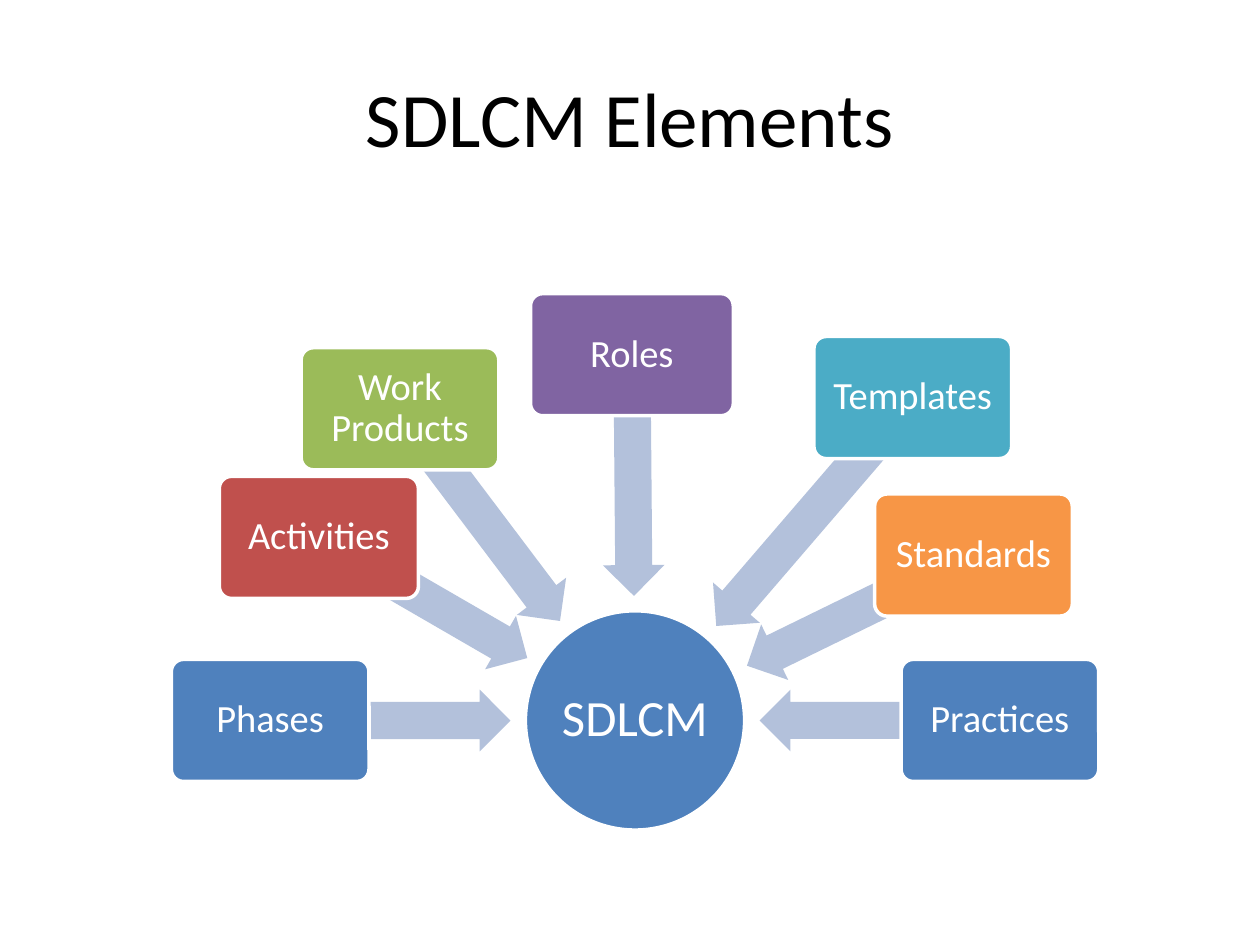
from math import atan2, degrees, hypot

from pptx import Presentation
from pptx.dml.color import RGBColor
from pptx.enum.shapes import MSO_SHAPE
from pptx.enum.text import MSO_ANCHOR, PP_ALIGN
from pptx.util import Pt

ELLIPSE = MSO_SHAPE.OVAL
ROUNDED = MSO_SHAPE.ROUNDED_RECTANGLE
LEFT_ARROW = MSO_SHAPE.LEFT_ARROW
MIDDLE = MSO_ANCHOR.MIDDLE
CENTER = PP_ALIGN.CENTER

TITLE = "SDLCM Elements"
HUB = "SDLCM"
HUB_X, HUB_Y, HUB_SIZE = 362.9, 411.7, 125.3
ELEMENTS = [
    ("Phases", 154.4, 411.7, 113, "4F81BD"),
    ("Activities", 182.2, 307.1, 113.8, "C0504D"),
    ("Work Products", 228.6, 233.6, 113, "9BBB59"),
    ("Roles", 361.1, 202.7, 115.9, "8064A2"),
    ("Templates", 521.6, 227.2, 113, "4BACC6"),
    ("Standards", 556.3, 317.2, 113, "F79646"),
    ("Practices", 571.4, 411.7, 113, "4F81BD"),
]
BOX_HEIGHT = 69.8
ARROW_HEIGHT = 35.3
TIP_DISTANCE = 71.2


def color(value):
    return RGBColor.from_string(value)


def write(shape, text, size, ink="FFFFFF", inset=3.6, spacing=0.9):
    frame = shape.text_frame
    frame.word_wrap = True
    frame.vertical_anchor = MIDDLE
    frame.margin_left = frame.margin_right = Pt(inset)
    frame.margin_top = frame.margin_bottom = Pt(inset)
    para = frame.paragraphs[0]
    para.alignment = CENTER
    para.line_spacing = spacing
    span = para.add_run()
    span.text = text
    span.font.name = "Calibri"
    span.font.size = Pt(size)
    span.font.color.rgb = color(ink)


def add_centered(page, kind, x, y, width, height, fill, outlined=True):
    shape = page.shapes.add_shape(
        kind, Pt(x - width / 2), Pt(y - height / 2), Pt(width), Pt(height))
    shape.shadow.inherit = False
    shape.fill.solid()
    shape.fill.fore_color.rgb = color(fill)
    if outlined:
        shape.line.color.rgb = color("FFFFFF")
        shape.line.width = Pt(2)
    else:
        shape.line.fill.background()
    return shape


def add_arrow(page, x, y):
    dx, dy = x - HUB_X, y - HUB_Y
    distance = hypot(dx, dy)
    middle = (distance + TIP_DISTANCE) / 2 / distance
    arrow = add_centered(
        page, LEFT_ARROW, HUB_X + dx * middle, HUB_Y + dy * middle,
        distance - TIP_DISTANCE, ARROW_HEIGHT, "B3C1DB", outlined=False)
    arrow.adjustments[0] = 0.6
    arrow.adjustments[1] = 0.5
    arrow.rotation = degrees(atan2(dy, dx)) % 360


def main():
    deck = Presentation()
    deck.slide_width, deck.slide_height = Pt(720), Pt(540)
    page = deck.slides.add_slide(deck.slide_layouts[5])

    title = page.shapes.title
    title.left, title.top = Pt(36), Pt(21.6)
    title.width, title.height = Pt(648), Pt(90)
    write(title, TITLE, 44, ink="000000", spacing=1.0)

    hub = add_centered(page, ELLIPSE, HUB_X, HUB_Y, HUB_SIZE, HUB_SIZE, "4F81BD")
    write(hub, HUB, 29, inset=1.4)

    for name, x, y, width, fill in ELEMENTS:
        add_arrow(page, x, y)
        box = add_centered(page, ROUNDED, x, y, width, BOX_HEIGHT, fill)
        box.adjustments[0] = 0.1
        write(box, name, 22)

    deck.save("out.pptx")


if __name__ == "__main__":
    main()
